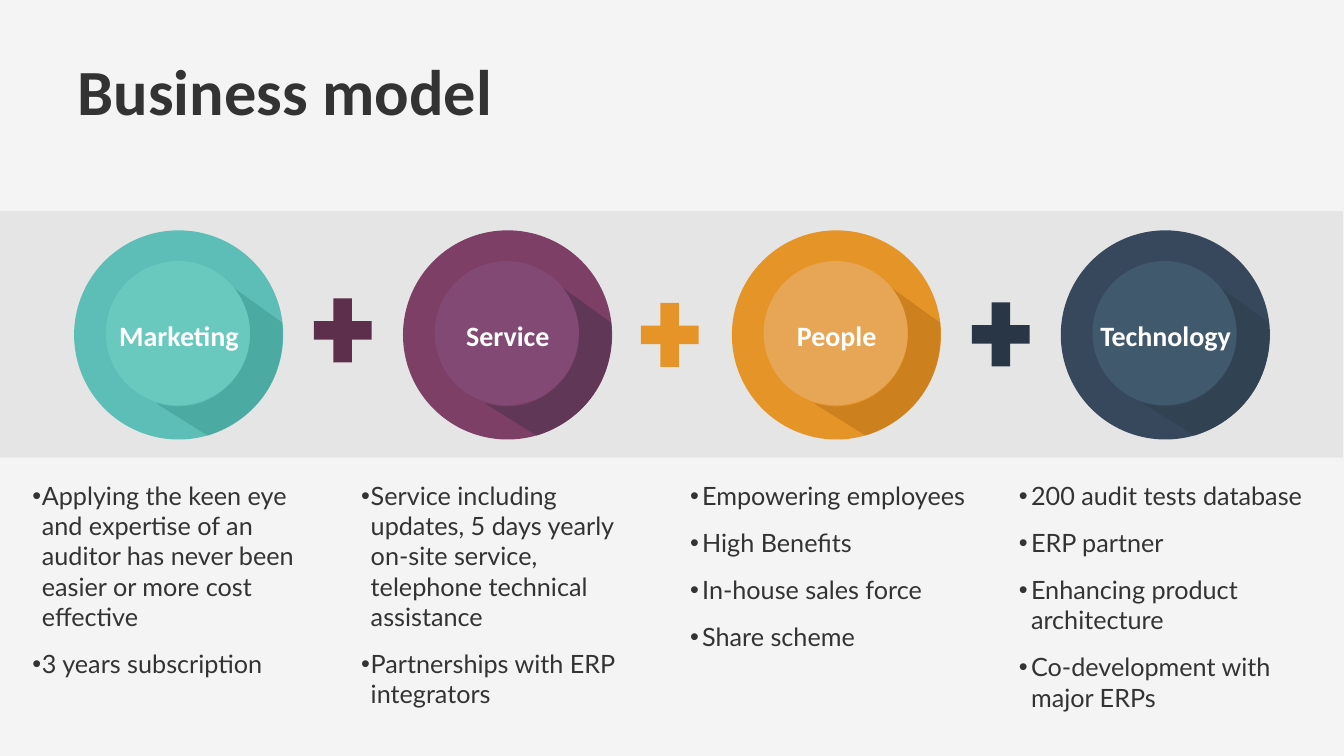
import pptx
import pptx.util
import pptx.dml.color
import pptx.enum.shapes
import pptx.enum.text
import pptx.oxml.ns
from lxml import etree

Inches = pptx.util.Inches
Pt = pptx.util.Pt
qn = pptx.oxml.ns.qn
SHAPE = pptx.enum.shapes.MSO_SHAPE
ALIGN = pptx.enum.text.PP_ALIGN
ANCHOR = pptx.enum.text.MSO_ANCHOR

COLORS = {
    "background": "F4F4F4", "band": "262626", "text": "333333", "label": "FFFFFF",
    "teal": "5CBEB6", "teal_shade": "3C9790", "teal_core": "69C9BF",
    "plum": "7D3F65", "plum_shade": "613757", "plum_core": "814974",
    "amber": "E59428", "amber_shade": "B47016", "amber_core": "E7A556",
    "navy": "37485D", "navy_shade": "314352", "navy_core": "41596D",
    "plus_plum": "5E2F4C", "plus_amber": "E69427", "plus_navy": "293646",
}

PILLARS = [
    ("Marketing", 2.48, "teal", 50, 4.47, 0.19, [
        "Applying the keen eye and expertise of an auditor has never been easier or more cost effective",
        "3 years subscription"]),
    ("Service", 2.05, "plum", 100, 4.47, 0.19, [
        "Service including updates, 5 days yearly on-site service, telephone technical assistance",
        "Partnerships with ERP integrators"]),
    ("People", 2.72, "amber", 50, 3.78, 0.24, [
        "Empowering employees", "High Benefits", "In-house sales force", "Share scheme"]),
    ("Technology", 2.72, "navy", 100, 4.47, 0.24, [
        "200 audit tests database", "ERP partner", "Enhancing product architecture",
        "Co-development with major ERPs"]),
]
PLUSES = [(6.02, 5.69, "plus_plum"), (12.51, 5.78, "plus_amber"), (19.08, 5.77, "plus_navy")]
PITCH = 19.58 / 3

SHADE = [
    [(3.14, 1.12)], [(4.13, 1.83)],
    [(4.27, 3.65), (2.65, 4.07), (2.65, 4.07)],
    [(1.64, 3.44)], [(1.65, 3.43)],
    [(2.14, 3.58), (2.69, 3.46), (3.07, 3.07)],
    [(3.6, 2.55), (3.63, 1.72), (3.17, 1.16)],
]
SHADE_WIDTH = 2.5


def rgb(name):
    return pptx.dml.color.RGBColor.from_string(COLORS[name])


def paint(sp, color, opacity=100):
    sp.shadow.inherit = False
    sp.fill.solid()
    sp.fill.fore_color.rgb = rgb(color)
    sp.line.fill.background()
    if opacity < 100:
        clr = sp.fill._xPr.find(".//" + qn("a:srgbClr"))
        etree.SubElement(clr, qn("a:alpha"), val=str(opacity * 1000))


def add_shape(s, kind, box, color, opacity=100):
    sp = s.shapes.add_shape(kind, *map(Inches, box))
    paint(sp, color, opacity)


def add_outline(s, points):
    corners = [(Inches(x), Inches(y)) for x, y in points]
    fb = s.shapes.build_freeform(*corners[0])
    fb.add_line_segments(corners[1:], close=True)
    return fb.convert_to_shape()


def set_margins(tf, inset, wrap):
    tf.word_wrap = wrap
    tf.margin_left = tf.margin_right = tf.margin_top = tf.margin_bottom = Inches(inset)


def add_text(s, box, inset, wrap, anchor):
    x, y, w, h = box
    sp = add_outline(s, [(x, y), (x + w, y), (x + w, y + h), (x, y + h)])
    sp.shadow.inherit = False
    sp.fill.background()
    sp.line.fill.background()
    set_margins(sp.text_frame, inset, wrap)
    sp.text_frame.vertical_anchor = anchor
    return sp.text_frame


def style(p, font, size, color, bold=False):
    for r in p.runs:
        r.font.name = font
        r.font.size = Pt(size)
        r.font.bold = bold
        r.font.color.rgb = rgb(color)


def add_shade(s, x, y, color, opacity):
    sp = add_outline(s, [(x + px, y + py) for segment in SHADE for px, py in segment])
    outline = sp._element.find(".//" + qn("a:path"))
    steps = iter(outline.findall(qn("a:lnTo")))
    for segment in SHADE[1:]:
        lines = [next(steps) for _ in segment]
        if len(lines) == 3:
            bezier = etree.Element(qn("a:cubicBezTo"))
            lines[0].addprevious(bezier)
            for line in lines:
                bezier.append(line[0])
                outline.remove(line)
    sp.width = Inches(SHADE_WIDTH)
    outline.set("w", str(Inches(SHADE_WIDTH)))
    paint(sp, color, opacity)


def add_disc(s, x, y, size, color, opacity):
    add_shape(s, SHAPE.OVAL, (x, y, size, size), color)
    add_shade(s, x, y, color + "_shade", opacity)
    add_shape(s, SHAPE.OVAL, (x + 0.63, y + 0.61, 2.86, 2.86), color + "_core")


def add_label(s, box, text):
    tf = add_text(s, box, 0.06, False, ANCHOR.MIDDLE)
    p = tf.paragraphs[0]
    p.text = text
    p.alignment = ALIGN.CENTER
    style(p, "Calibri", 40, "label", True)


def add_bullets(s, box, items, indent):
    tf = add_text(s, box, 0, True, ANCHOR.TOP)
    tf.text = "\n".join(items)
    for i, p in enumerate(tf.paragraphs):
        pPr = p._p.get_or_add_pPr()
        pPr.set("marL", str(Inches(indent)))
        pPr.set("indent", str(-Inches(indent)))
        etree.SubElement(pPr, qn("a:buFont"), typeface="Arial")
        etree.SubElement(pPr, qn("a:buChar"), char="•")
        p.alignment = ALIGN.LEFT
        if i:
            p.space_before = Pt(6)
        if i < len(items) - 1:
            p.space_after = Pt(18)
        style(p, "Lato", 36, "text")


def add_title(s, box, text):
    tf = s.shapes.add_textbox(*map(Inches, box)).text_frame
    set_margins(tf, 0.1, False)
    tf.margin_top = tf.margin_bottom = Inches(0.05)
    tf.text = text
    style(tf.paragraphs[0], "Calibri", 92, "text", True)


def main():
    prs = pptx.Presentation()
    prs.slide_width = Inches(26.67)
    prs.slide_height = Inches(15)
    s = prs.slides.add_slide(prs.slide_layouts[6])
    s.background.fill.solid()
    s.background.fill.fore_color.rgb = rgb("background")

    add_shape(s, SHAPE.RECTANGLE, (0, 4.19, 26.65, 4.89), "band", 7)
    add_title(s, (1.44, 0.96, 9.22, 1.65), "Business model")
    for i, (label, width, color, opacity, height, indent, items) in enumerate(PILLARS):
        left = i * PITCH
        add_bullets(s, (0.64 + left, 9.53, 5.81, height), items, indent)
        add_disc(s, 1.47 + left, 4.57, 4.15, color, opacity)
        add_label(s, (3.55 + left - width / 2, 6.3, width, 0.69), label)
    for x, y, color in PLUSES:
        add_shape(s, SHAPE.MATH_PLUS, (x, y, 1.56, 1.73), color)

    prs.save("out.pptx")


if __name__ == "__main__":
    main()
